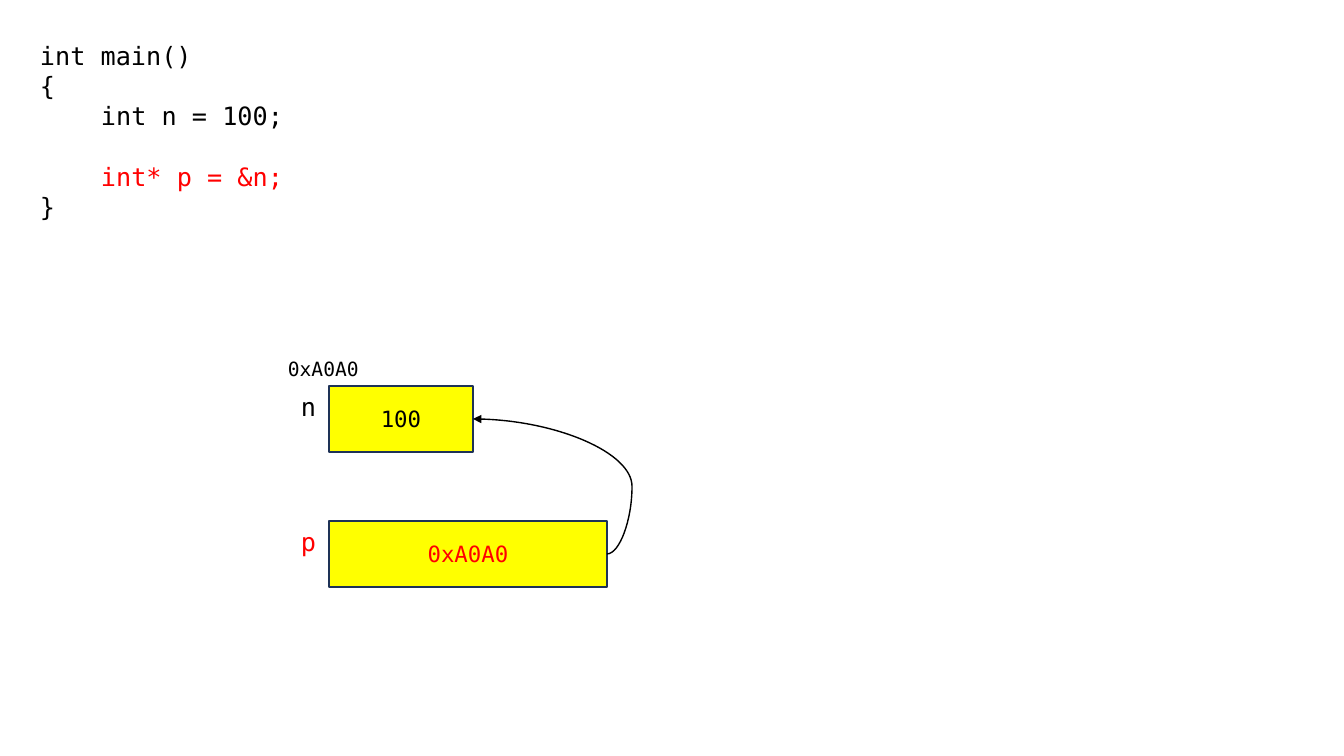
from lxml import etree
from pptx import Presentation
from pptx import util as u
from pptx.dml import color
from pptx.enum import shapes, text
from pptx.oxml import ns

EMU_PER_PIXEL = 914400 / 100.8
FONT = "DejaVu Sans Mono"
BLACK, RED, YELLOW, NAVY = "000000", "FF0000", "FFFF00", "1E3256"
RIGHT_SIDE = 3
CELL_LEFT, CELL_HEIGHT = 329, 66
LABEL_WIDTH, LABEL_HEIGHT = 38, 40
CODE_INDENT, CODE_LINE = 61, 21.6


def px(pixels):
    return u.Emu(round(pixels * EMU_PER_PIXEL))


def rgb(value):
    return color.RGBColor.from_string(value)


def apply(target, values):
    for name, value in values.items():
        setattr(target, name, value)


def write(paragraph, words, size, ink):
    run = paragraph.add_run()
    run.text = words
    apply(run.font, {"name": FONT, "size": u.Pt(size)})
    run.font.color.rgb = rgb(ink)


def add_words(slide, place, lines, size):
    box = slide.shapes.add_textbox(*map(px, place))
    frame = box.text_frame
    apply(frame, {"word_wrap": True, "auto_size": text.MSO_AUTO_SIZE.SHAPE_TO_FIT_TEXT})
    for index, (words, ink, indent, gap) in enumerate(lines):
        paragraph = frame.add_paragraph() if index else frame.paragraphs[0]
        write(paragraph, words, size, ink)
        if indent:
            paragraph._p.get_or_add_pPr().set("marL", str(px(indent)))
        if gap:
            paragraph.space_before = u.Pt(gap)


def add_variable(slide, name, value, top, width, name_ink, value_ink):
    cell = slide.shapes.add_shape(
        shapes.MSO_SHAPE.RECTANGLE, *map(px, (CELL_LEFT, top, width, CELL_HEIGHT)))
    cell.shadow.inherit = False
    cell.fill.solid()
    cell.fill.fore_color.rgb = rgb(YELLOW)
    cell.line.color.rgb = rgb(NAVY)
    cell.line.width = u.Pt(1)
    cell.text_frame.vertical_anchor = text.MSO_ANCHOR.MIDDLE
    content = cell.text_frame.paragraphs[0]
    content.alignment = text.PP_ALIGN.CENTER
    write(content, value, 16, value_ink)
    label_place = (CELL_LEFT - LABEL_WIDTH, top, LABEL_WIDTH, LABEL_HEIGHT)
    add_words(slide, label_place, [(name, name_ink, 0, 0)], 18)
    return cell


def add_pointer(slide, source, target, bulge):
    arrow = slide.shapes.add_connector(shapes.MSO_CONNECTOR.CURVE, 0, 0, 0, 0)
    arrow.begin_connect(source, RIGHT_SIDE)
    arrow.end_connect(target, RIGHT_SIDE)
    arrow.line.color.rgb = rgb(BLACK)
    arrow.line.width = u.Pt(1)
    etree.SubElement(arrow.line._get_or_add_ln(), ns.qn("a:tailEnd"), type="triangle")
    properties = arrow._element.spPr
    etree.SubElement(properties, ns.qn("a:effectLst"))
    adjustments = properties.find(ns.qn("a:prstGeom")).get_or_add_avLst()
    share = round(-px(bulge) / arrow.width * 100000)
    etree.SubElement(adjustments, ns.qn("a:gd"), name="adj1", fmla=f"val {share}")


def main():
    deck = Presentation()
    apply(deck, {"slide_width": px(1344), "slide_height": px(756)})
    slide = deck.slides.add_slide(deck.slide_layouts[6])
    code = [
        ("int main()", BLACK, 0, 0),
        ("{", BLACK, 0, 0),
        ("int n = 100;", BLACK, CODE_INDENT, 0),
        ("int* p = &n;", RED, CODE_INDENT, CODE_LINE),
        ("}", BLACK, 0, 0),
    ]
    add_words(slide, (30, 35, 672, 194), code, 18)
    number = add_variable(slide, "n", "100", 386, 144, BLACK, BLACK)
    add_words(slide, (278, 352, 132, 34), [("0xA0A0", BLACK, 0, 0)], 14)
    pointer = add_variable(slide, "p", "0xA0A0", 521, 278, RED, RED)
    add_pointer(slide, pointer, number, 25)
    deck.save("out.pptx")


main()
